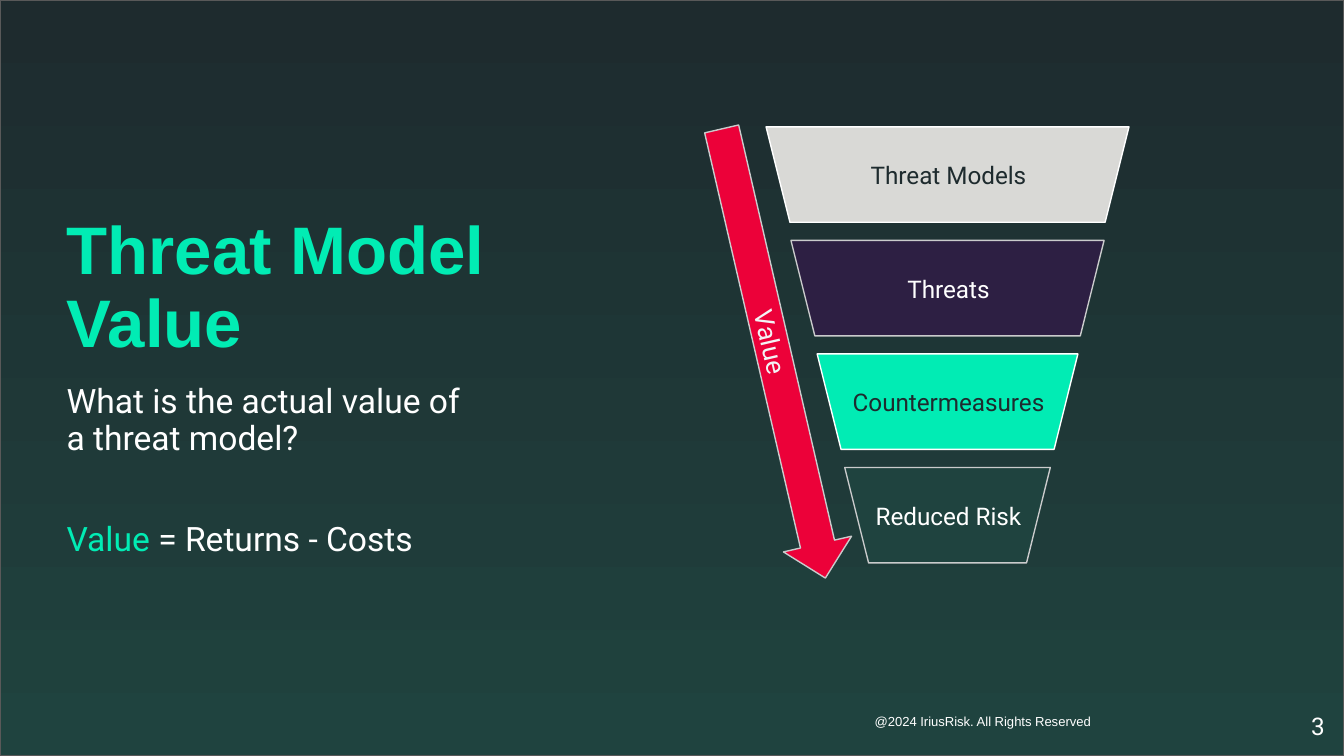
from dataclasses import dataclass

from pptx import Presentation
from pptx import util as u
from pptx.dml import color
from pptx.enum import shapes, text

COLORS = {
    "ink": "1E2B2E",
    "pine": "1F433F",
    "mint": "01ECB4",
    "white": "FFFFFF",
    "stone": "D9D9D6",
    "plum": "2D1F43",
    "silver": "CACBCC",
    "red": "EC0139",
    "mist": "F3F3F5",
    "edge": "595959",
}
WIDTH = u.Inches(10)
HEIGHT = u.Emu(WIDTH * 9 // 16)
COLUMN, ROW = WIDTH / 100, HEIGHT / 100
NARROW, ROOMY = (0.07, 0.04), (0.1, 0.1)
FUNNEL_CENTER, FUNNEL_TOP, TIER_PITCH, TIER_HEIGHT = 70.5, 16.78, 15.02, 12.62
LABEL_WIDTH, LABEL_HEIGHT, LABEL_DROP = 16.6, 6.22, 0.27


@dataclass
class Area:
    column: float
    row: float
    columns: float
    rows: float

    def lengths(self) -> tuple:
        return (u.Emu(round(self.column * COLUMN)), u.Emu(round(self.row * ROW)),
                u.Emu(round(self.columns * COLUMN)), u.Emu(round(self.rows * ROW)))


@dataclass
class Style:
    size: float
    color: str
    font: str = "Roboto"
    bold: bool = False
    align: text.PP_ALIGN = text.PP_ALIGN.LEFT
    anchor: text.MSO_ANCHOR = text.MSO_ANCHOR.TOP
    spacing: float = 1.0
    insets: tuple = NARROW


@dataclass
class Tier:
    label: str
    columns: float
    fill: str
    line: str
    ink: str


TIERS = [
    Tier("Threat Models", 27, "stone", "white", "ink"),
    Tier("Threats", 23.3, "plum", "silver", "white"),
    Tier("Countermeasures", 19.4, "mint", "white", "ink"),
    Tier("Reduced Risk", 15.3, "pine", "silver", "white"),
]


def rgb(name: str) -> color.RGBColor:
    return color.RGBColor.from_string(COLORS[name])


def write(shape, lines: list, style: Style) -> None:
    frame = shape.text_frame
    frame.word_wrap = True
    frame.vertical_anchor = style.anchor
    frame.margin_left = frame.margin_right = u.Inches(style.insets[0])
    frame.margin_top = frame.margin_bottom = u.Inches(style.insets[1])
    frame.text = "\n".join(lines)
    for paragraph in frame.paragraphs:
        paragraph.alignment = style.align
        paragraph.line_spacing = style.spacing
        for run in paragraph.runs:
            run.font.size = u.Pt(style.size)
            run.font.name = style.font
            run.font.bold = style.bold
            run.font.color.rgb = rgb(style.color)


def add_text(slide, area: Area, lines: list, style: Style):
    box = slide.shapes.add_textbox(*area.lengths())
    write(box, lines, style)
    return box


def add_block(slide, kind, area: Area, fill: str, line: str, rotation: float = 0):
    block = slide.shapes.add_shape(kind, *area.lengths())
    block.shadow.inherit = False
    block.rotation = rotation
    block.fill.solid()
    block.fill.fore_color.rgb = rgb(fill)
    block.line.color.rgb = rgb(line)
    block.line.width = u.Pt(0.75)
    return block


def add_backdrop(slide) -> None:
    backdrop = add_block(slide, shapes.MSO_SHAPE.RECTANGLE, Area(0, 0, 100, 100), "ink", "edge")
    backdrop.fill.gradient()
    backdrop.fill.gradient_angle = 270
    for stop, position, name in zip(backdrop.fill.gradient_stops, (0, 1), ("ink", "pine")):
        stop.position = position
        stop.color.rgb = rgb(name)


def add_formula(slide) -> None:
    body = add_text(slide, Area(4.25, 50.18, 32.3, 36.27),
                    ["What is the actual value of a threat model?", "Value"],
                    Style(18, "white", spacing=0.9))
    formula = body.text_frame.paragraphs[1]
    formula.space_before = u.Pt(35)
    formula.runs[0].font.color.rgb = rgb("mint")
    terms = formula.add_run()
    terms.text = " = Returns - Costs"
    terms.font.size = u.Pt(18)
    terms.font.name = "Roboto"
    terms.font.color.rgb = rgb("white")


def add_funnel(slide) -> None:
    tops = [FUNNEL_TOP + index * TIER_PITCH for index in range(len(TIERS))]
    for tier, top in zip(TIERS, tops):
        area = Area(FUNNEL_CENTER - tier.columns / 2, top, tier.columns, TIER_HEIGHT)
        add_block(slide, shapes.MSO_SHAPE.TRAPEZOID, area, tier.fill, tier.line, 180)
    for tier, top in zip(TIERS, tops):
        label_top = top + (TIER_HEIGHT - LABEL_HEIGHT) / 2 + LABEL_DROP
        area = Area(FUNNEL_CENTER - LABEL_WIDTH / 2 + 0.07, label_top, LABEL_WIDTH, LABEL_HEIGHT)
        add_text(slide, area, [tier.label],
                 Style(13, tier.ink, align=text.PP_ALIGN.CENTER,
                       anchor=text.MSO_ANCHOR.MIDDLE, spacing=0.9))


def add_value_arrow(slide) -> None:
    arrow = add_block(slide, shapes.MSO_SHAPE.RIGHT_ARROW, Area(40.4, 42.15, 34.3, 9.24),
                      "red", "silver", 77)
    write(arrow, ["Value "],
          Style(14, "mist", align=text.PP_ALIGN.CENTER,
                anchor=text.MSO_ANCHOR.MIDDLE, insets=ROOMY))


def main() -> None:
    deck = Presentation()
    deck.slide_width, deck.slide_height = WIDTH, HEIGHT
    slide = deck.slides.add_slide(deck.slide_layouts[6])
    add_backdrop(slide)
    add_text(slide, Area(64.1, 92.8, 21.5, 5.16), ["@2024 IriusRisk. All Rights Reserved"],
             Style(7, "white", font="Arial", anchor=text.MSO_ANCHOR.MIDDLE, insets=ROOMY))
    add_text(slide, Area(4.25, 17.98, 46.1, 30.58), ["Threat Model Value"],
             Style(36, "mint", font="Arial", bold=True,
                   anchor=text.MSO_ANCHOR.BOTTOM, spacing=0.9))
    add_formula(slide)
    add_funnel(slide)
    add_value_arrow(slide)
    add_text(slide, Area(93.55, 92.36, 6, 7.64), ["3"],
             Style(13, "white", align=text.PP_ALIGN.RIGHT, insets=ROOMY))
    deck.save("out.pptx")


if __name__ == "__main__":
    main()
